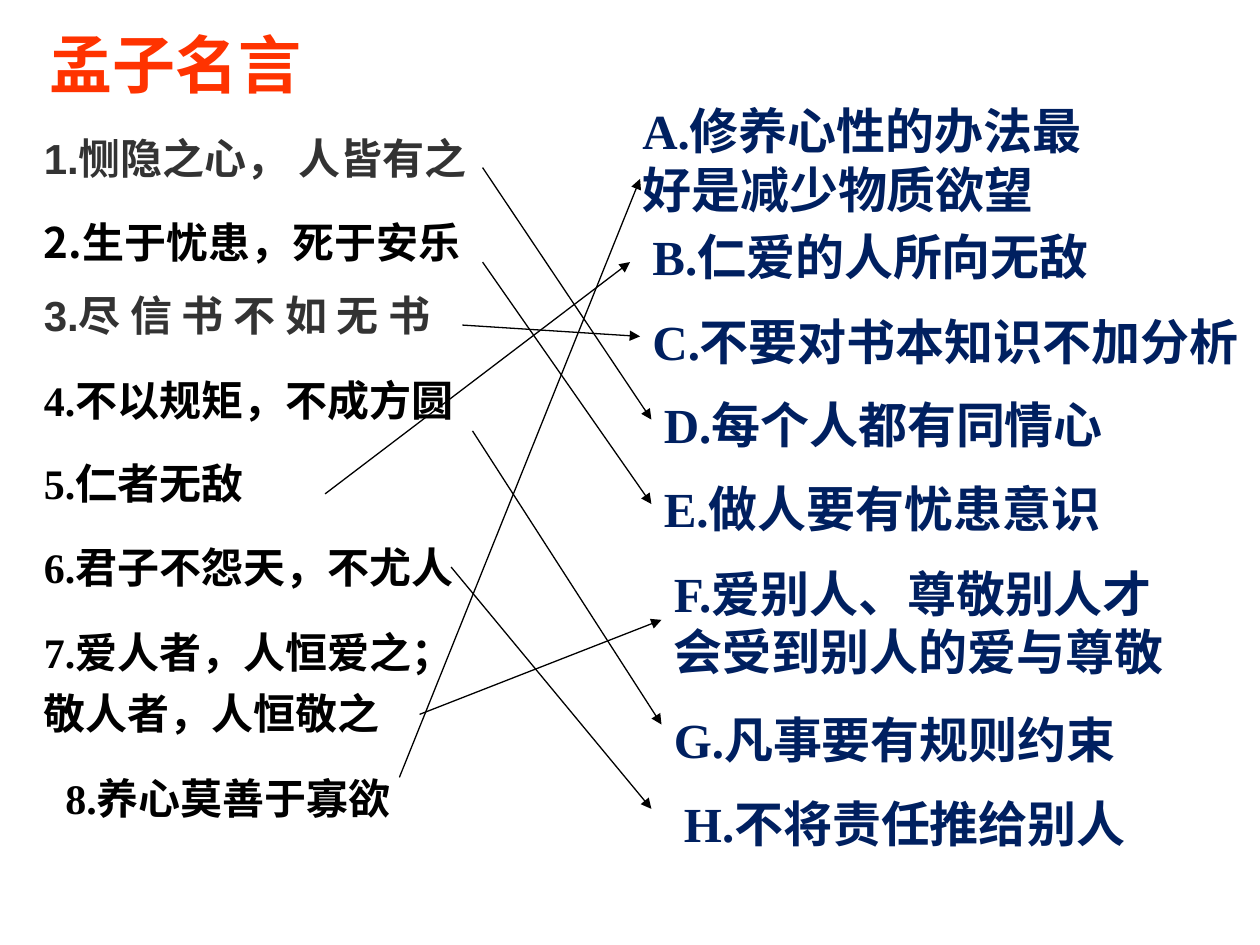
from lxml import etree
from pptx import Presentation
from pptx.dml.color import RGBColor
from pptx.enum import shapes, text
from pptx.oxml import ns
from pptx.util import Inches, Pt

COLORS = {"title": "FF3300", "space": "000099", "gray": "333333",
          "black": "000000", "navy": "002060"}
SERIF, SANS, CJK = "Times New Roman", "Arial", "Noto Sans CJK SC"

# Sayings: left, top, width, font, colour, lines
SAYINGS = [
    (0.25, 1, 3.83, SANS, "gray", ["1.恻隐之心， 人皆有之"]),
    (0.25, 1.67, 4.42, CJK, "black", ["2.生于忧患，死于安乐"]),
    (0.25, 2.25, 5.08, SANS, "gray", ["3.尽 信 书 不 如 无 书"]),
    (0.25, 2.92, 4.17, SERIF, "black", ["4.不以规矩，不成方圆"]),
    (0.25, 3.58, 3.25, SERIF, "black", ["5.仁者无敌"]),
    (0.25, 4.25, 4.58, SERIF, "black", ["6.君子不怨天，不尤人"]),
    (0.25, 4.92, 5.5, SERIF, "black", ["7.爱人者，人恒爱之；", "敬人者，人恒敬之"]),
    (0.42, 6.08, 4.17, SERIF, "black", ["8.养心莫善于寡欲"]),
]

# Meanings: left, top, width, height, lines
MEANINGS = [
    (5, 0.75, 4.5, 1.04, ["A.修养心性的办法最", "好是减少物质欲望"]),
    (5.08, 1.75, 4.25, 0.57, ["B.仁爱的人所向无敌"]),
    (5.08, 2.42, 5.17, 0.57, ["C.不要对书本知识不加分析"]),
    (5.17, 3.08, 4.25, 0.57, ["D.每个人都有同情心"]),
    (5.17, 3.75, 4.33, 0.57, ["E.做人要有忧患意识"]),
    (5.25, 4.42, 4.33, 1.04, ["F.爱别人、尊敬别人才会受到别人的爱与尊敬"]),
    (5.25, 5.58, 4.33, 0.57, ["G.凡事要有规则约束"]),
    (5.33, 6.25, 4.42, 0.57, ["H.不将责任推给别人"]),
]

# Matches: x and y of the saying, x and y of the meaning
MATCHES = [
    (3.83, 1.33, 5.17, 3.33),
    (3.83, 2.08, 5.17, 4),
    (3.67, 2.58, 5.08, 2.67),
    (3.75, 3.42, 5.25, 5.75),
    (2.58, 3.92, 5, 2.08),
    (3.58, 4.5, 5.17, 6.42),
    (3.33, 5.67, 5.25, 4.92),
    (3.17, 6.17, 5.08, 1.42),
]


def add_run(p, words, size, font, color, bold=True):
    r = p.add_run()
    r.text = words
    r.font.size, r.font.name, r.font.bold = Pt(size), font, bold
    r.font.color.rgb = RGBColor.from_string(COLORS[color])


def add_title(s, left, top, width, height):
    title = s.shapes.title
    title.left, title.top = Inches(left), Inches(top)
    title.width, title.height = Inches(width), Inches(height)
    tf = title.text_frame
    tf.vertical_anchor = text.MSO_ANCHOR.MIDDLE
    p = tf.paragraphs[0]
    p.alignment = text.PP_ALIGN.CENTER
    add_run(p, "孟子名言", 36, SANS, "title")
    add_run(p, " ", 44, SANS, "space", bold=False)


def add_lines(s, box, lines, size, font, color):
    """Place a text box with one paragraph per line; return its frame."""
    tf = s.shapes.add_textbox(*map(Inches, box)).text_frame
    tf.word_wrap = True
    for i, line in enumerate(lines):
        p = tf.add_paragraph() if i else tf.paragraphs[0]
        add_run(p, line, size, font, color)
    return tf


def add_saying(s, left, top, width, font, color, lines):
    tf = add_lines(s, (left, top, width, 0.5), lines, 24, font, color)
    for p in tf.paragraphs:
        p.space_before = Pt(6)
        pPr = p._p.get_or_add_pPr()
        pPr.set("marL", str(Inches(0.38)))
        pPr.set("indent", str(Inches(-0.38)))


def add_meaning(s, left, top, width, height, lines):
    tf = add_lines(s, (left, top, width, height), lines, 28, SERIF, "navy")
    tf.auto_size = text.MSO_AUTO_SIZE.SHAPE_TO_FIT_TEXT


def add_match(s, *ends):
    c = s.shapes.add_connector(shapes.MSO_CONNECTOR.STRAIGHT, *map(Inches, ends))
    c.line.width = Pt(0.75)
    c.line.color.rgb = RGBColor.from_string(COLORS["black"])
    etree.SubElement(c.line._get_or_add_ln(), ns.qn("a:tailEnd"), type="triangle")
    etree.SubElement(c._element.spPr, ns.qn("a:effectLst"))


def main():
    prs = Presentation()
    prs.slide_width, prs.slide_height = Inches(10), Inches(7.5)
    s = prs.slides.add_slide(prs.slide_layouts[5])
    add_title(s, 0, 0.17, 2.92, 0.58)
    # Left column
    for saying in SAYINGS:
        add_saying(s, *saying)
    # Right column
    for meaning in MEANINGS:
        add_meaning(s, *meaning)
    # Arrows from each saying to its meaning
    for match in MATCHES:
        add_match(s, *match)
    prs.save("out.pptx")


if __name__ == "__main__":
    main()
